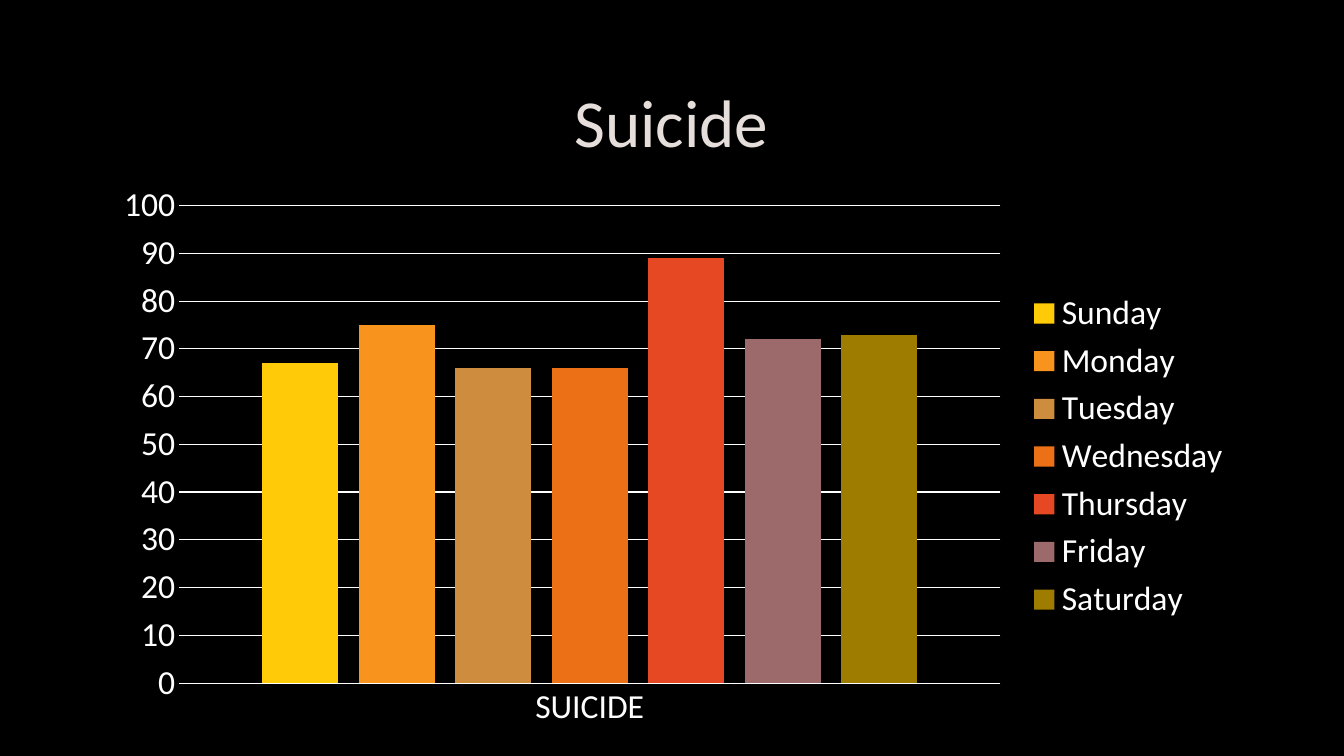
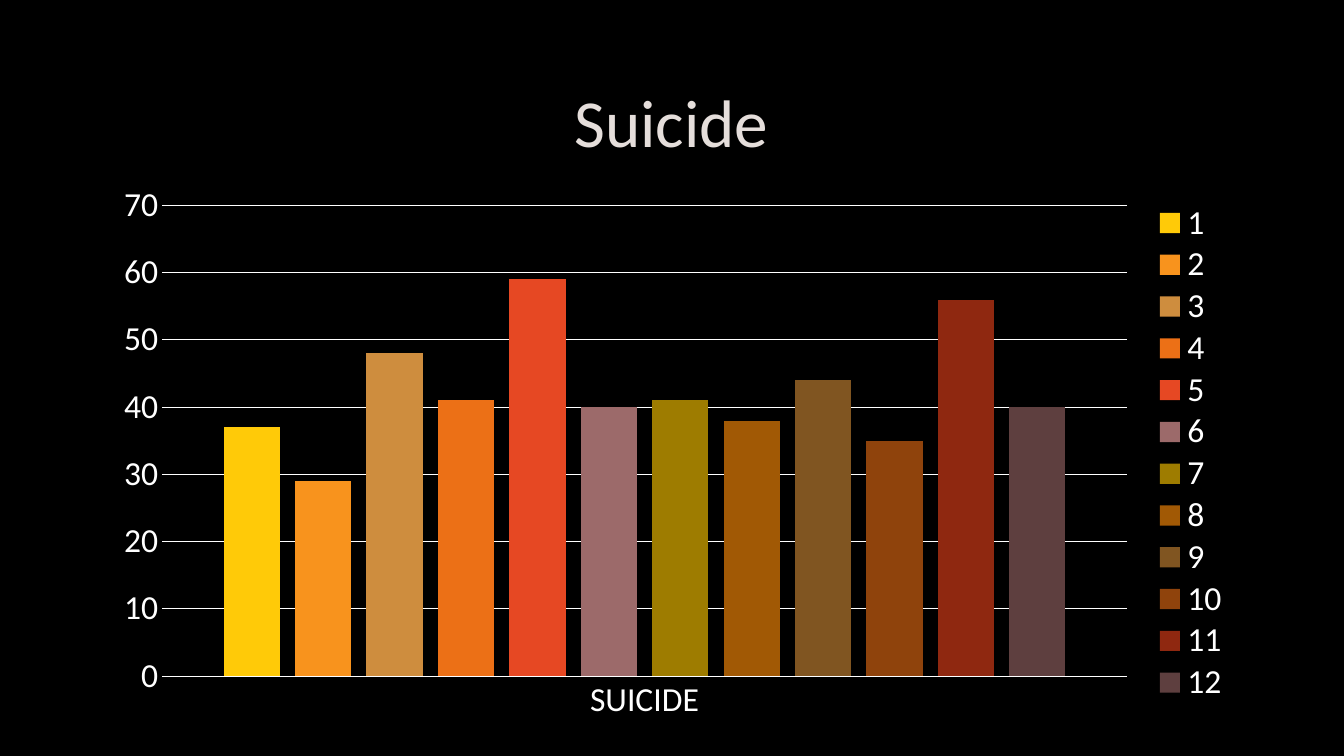
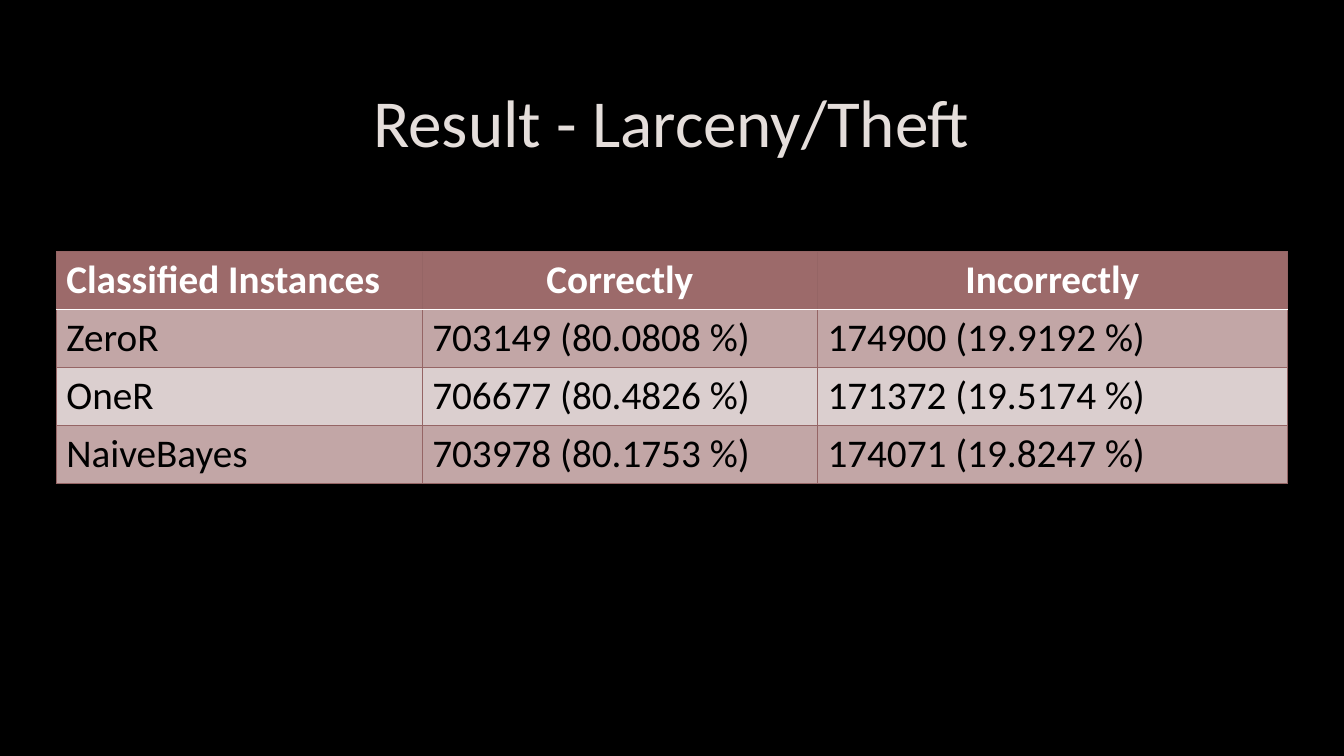
import pptx
import pptx.chart.data
import pptx.dml.color
import pptx.enum.chart
import pptx.enum.text
import pptx.oxml
import pptx.oxml.ns
import pptx.util

Cm = pptx.util.Cm
Pt = pptx.util.Pt
RGBColor = pptx.dml.color.RGBColor
PP_ALIGN = pptx.enum.text.PP_ALIGN

# Content
WEEKDAYS = [("Sunday", 67), ("Monday", 75), ("Tuesday", 66), ("Wednesday", 66),
            ("Thursday", 89), ("Friday", 72), ("Saturday", 73)]
MONTHS = [(str(number), value) for number, value in
          enumerate([37, 29, 48, 41, 59, 40, 41, 38, 44, 35, 56, 40], start=1)]
# Legend box as shares of the chart, keeping twelve entries in one column
TALL_LEGEND = {"x": 0.92, "y": 0.05, "w": 0.07, "h": 0.9}
# title, bars, top of the value axis, chart height, legend box
CHART_SLIDES = [("Suicide", WEEKDAYS, 100, Cm(14.25), None),
                ("Suicide", MONTHS, 70, Cm(14.07), TALL_LEGEND)]
CATEGORY = "SUICIDE"

RESULT_TITLE = "Result - Larceny/Theft"
RESULTS = [
    ("Classified Instances", "Correctly", "Incorrectly"),
    ("ZeroR", "703149 (80.0808 %)", "174900 (19.9192 %)"),
    ("OneR", "706677 (80.4826 %)", "171372 (19.5174 %)"),
    ("NaiveBayes", "703978 (80.1753 %)", "174071 (19.8247 %)"),
]

# Shared style
FONT = "Calibri"
BLACK = RGBColor(0x00, 0x00, 0x00)
WHITE = RGBColor(0xFF, 0xFF, 0xFF)
TITLE_COLOR = RGBColor(0xE5, 0xDE, 0xDB)
HEADER_FILL = RGBColor(0x9C, 0x6A, 0x6A)
BAND_FILLS = [RGBColor(0xC2, 0xA6, 0xA6), RGBColor(0xDB, 0xCF, 0xCF)]
BORDER = RGBColor(0x95, 0x65, 0x65)
BAR_COLORS = [RGBColor.from_string(code) for code in (
    "FFCA08", "F8931D", "CE8D3E", "EC7016", "E64823", "9C6A6A",
    "9E7C00", "A15905", "805521", "8F430C", "8F2810", "5E3F3F")]

SLIDE_WIDTH, SLIDE_HEIGHT = Cm(33.87), Cm(19.05)
LEFT, WIDTH = Cm(2.55), Cm(28.75)
TITLE_TOP, TITLE_HEIGHT = Cm(1.7), Cm(2.68)
CHART_TOP = TITLE_TOP + TITLE_HEIGHT
TABLE_LEFT, TABLE_TOP = Cm(1.42), Cm(6.34)
COLUMN_WIDTHS = [Cm(9.22), Cm(9.96), Cm(11.84)]
ROW_HEIGHT = Cm(1.46)


def style_font(font, size, color, bold=False):
    font.name = FONT
    font.size = Pt(size)
    font.bold = bold
    font.color.rgb = color


def add_titled_slide(deck, title):
    page = deck.slides.add_slide(deck.slide_layouts[6])
    box = page.shapes.add_textbox(LEFT, TITLE_TOP, WIDTH, TITLE_HEIGHT)
    frame = box.text_frame
    frame.word_wrap = True
    frame.vertical_anchor = pptx.enum.text.MSO_ANCHOR.MIDDLE
    para = frame.paragraphs[0]
    para.text = title
    para.alignment = PP_ALIGN.CENTER
    style_font(para.font, 48, TITLE_COLOR)
    return page


def style_line(line):
    line.color.rgb = WHITE
    line.width = Pt(0.75)


def place_legend(legend, box):
    sizes = "".join(f'<c:{side} val="{share}"/>' for side, share in box.items())
    layout = pptx.oxml.parse_xml(
        f'<c:layout {pptx.oxml.ns.nsdecls("c")}><c:manualLayout>'
        f'<c:xMode val="edge"/><c:yMode val="edge"/>{sizes}'
        '</c:manualLayout></c:layout>')
    element = legend._element
    for old in element.findall(pptx.oxml.ns.qn("c:layout")):
        element.remove(old)
    element.find(pptx.oxml.ns.qn("c:legendPos")).addnext(layout)


def add_bar_chart(page, bars, axis_top, height, legend_box):
    data = pptx.chart.data.CategoryChartData()
    data.categories = [CATEGORY]
    for name, value in bars:
        data.add_series(name, [value])
    chart = page.shapes.add_chart(
        pptx.enum.chart.XL_CHART_TYPE.COLUMN_CLUSTERED,
        LEFT, CHART_TOP, WIDTH, height, data).chart
    chart.has_title = False
    style_font(chart.font, 24, WHITE)

    # Bars
    plot = chart.plots[0]
    plot.vary_by_categories = False
    plot.gap_width = 219
    plot.overlap = -27
    for series, color in zip(plot.series, BAR_COLORS):
        series.format.fill.solid()
        series.format.fill.fore_color.rgb = color

    # Axes
    values = chart.value_axis
    values.minimum_scale, values.maximum_scale, values.major_unit = 0, axis_top, 10
    values.has_major_gridlines = True
    style_line(values.major_gridlines.format.line)
    values.format.line.fill.background()
    style_line(chart.category_axis.format.line)
    for axis in (values, chart.category_axis):
        axis.major_tick_mark = pptx.enum.chart.XL_TICK_MARK.NONE
        style_font(axis.tick_labels.font, 24, WHITE)

    # Legend
    chart.has_legend = True
    chart.legend.position = pptx.enum.chart.XL_LEGEND_POSITION.RIGHT
    chart.legend.include_in_layout = False
    style_font(chart.legend.font, 24, WHITE)
    if legend_box:
        place_legend(chart.legend, legend_box)


def add_border(cell, side, color, points):
    cell._tc.get_or_add_tcPr().append(pptx.oxml.parse_xml(
        f'<a:ln{side} {pptx.oxml.ns.nsdecls("a")} w="{Pt(points)}"><a:solidFill>'
        f'<a:srgbClr val="{color}"/></a:solidFill></a:ln{side}>'))


def add_results_table(page, rows):
    table = page.shapes.add_table(
        len(rows), len(COLUMN_WIDTHS), TABLE_LEFT, TABLE_TOP,
        sum(COLUMN_WIDTHS), ROW_HEIGHT * len(rows)).table
    for column, width in zip(table.columns, COLUMN_WIDTHS):
        column.width = width
    for r, row in enumerate(rows):
        header = r == 0
        table.rows[r].height = ROW_HEIGHT
        for c, text in enumerate(row):
            cell = table.cell(r, c)
            for side in "LRTB":
                under_header = (r, side) in ((0, "B"), (1, "T"))
                add_border(cell, side, *((WHITE, 1.25) if under_header else (BORDER, 0.75)))
            cell.fill.solid()
            cell.fill.fore_color.rgb = HEADER_FILL if header else BAND_FILLS[(r - 1) % 2]
            para = cell.text_frame.paragraphs[0]
            para.text = text
            para.alignment = PP_ALIGN.CENTER if header and c else PP_ALIGN.LEFT
            style_font(para.font, 28, WHITE if header else BLACK, header)


def main():
    deck = pptx.Presentation()
    deck.slide_width, deck.slide_height = SLIDE_WIDTH, SLIDE_HEIGHT
    backdrop = deck.slide_master.background.fill
    backdrop.solid()
    backdrop.fore_color.rgb = BLACK

    for title, *chart_parts in CHART_SLIDES:
        add_bar_chart(add_titled_slide(deck, title), *chart_parts)
    add_results_table(add_titled_slide(deck, RESULT_TITLE), RESULTS)
    deck.save("out.pptx")


if __name__ == "__main__":
    main()
